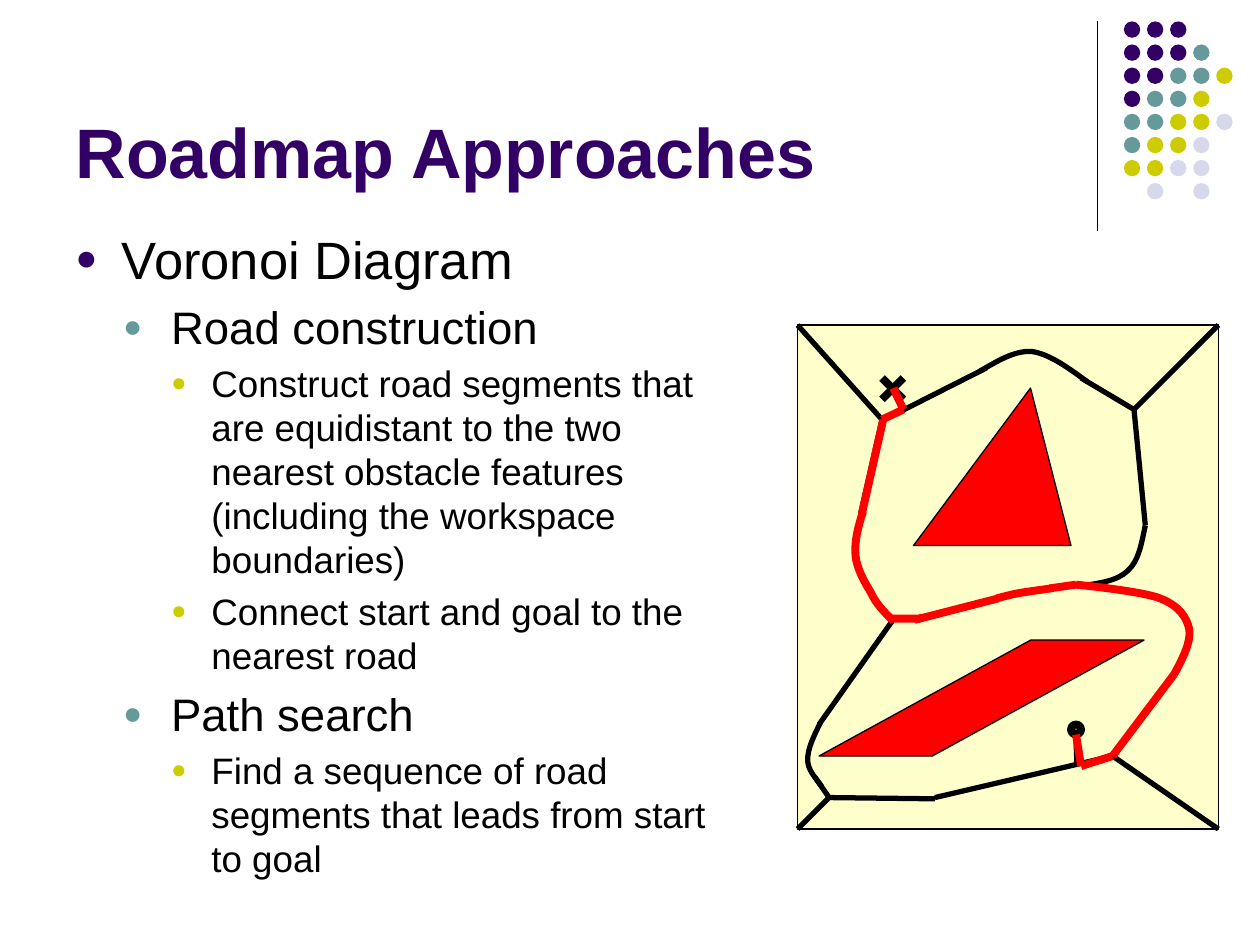
"""Build the Roadmap Approaches slide with its Voronoi diagram."""
from lxml.etree import SubElement
from pptx import Presentation
from pptx.dml.color import RGBColor
from pptx.enum.shapes import MSO_CONNECTOR, MSO_SHAPE
from pptx.enum.text import MSO_ANCHOR, PP_ALIGN
from pptx.oxml.ns import qn
from pptx.util import Pt

PX = 9144
FONT = "Arial"
HUES = {
    "black": "000000", "red": "FF0000", "cream": "FFFFCC", "plum": "330066",
    "teal": "669999", "lime": "CCCC00", "mist": "D8D8EC",
}

TITLE = "Roadmap Approaches"
BODY = [
    (0, "Voronoi Diagram"),
    (1, "Road construction"),
    (2, "Construct road segments that are equidistant to the two nearest "
        "obstacle features (including the workspace boundaries)"),
    (2, "Connect start and goal to the nearest road"),
    (1, "Path search"),
    (2, "Find a sequence of road segments that leads from start to goal"),
]
LEVELS = [
    {"size": 30, "gap": 2, "left": 37, "hang": 37, "hue": "plum"},
    {"size": 26, "gap": 5.2, "left": 76, "hang": 38, "hue": "teal"},
    {"size": 21, "gap": 4.2, "left": 108, "hang": 32, "hue": "lime"},
]

DOTS = ["ppp", "pppt", "ppttl", "pttl", "ttllm", "tllm", "llmm", " m m"]
DOT_HUES = {"p": "plum", "t": "teal", "l": "lime", "m": "mist"}
DOT_LEFT, DOT_TOP, DOT_SIZE, DOT_STEP = 892, 17, 13, 18.33

FIELD = [
    (MSO_SHAPE.RECTANGLE, (633, 258, 334, 400), "cream", 0.75, None),
    (MSO_SHAPE.ISOSCELES_TRIANGLE, (725, 308, 125, 125), "red", 0.75, 0.743),
    (MSO_SHAPE.PARALLELOGRAM, (650, 508, 258, 92), "red", 0.75, 1.826),
]
GOAL = (MSO_SHAPE.OVAL, (850, 575, 8, 8), "cream", 4.5, None)
START = [[(700, 300), (717, 317)], [(717, 300), (700, 317)]]
ROADS = [
    [(742, 634), (658, 633)], [(658, 633), (633, 658)],
    [(658, 633), (647, 617)], [(742, 633), (883, 600)],
    [(883, 600), (967, 658)], [(933, 533), (883, 600)],
    [(967, 258), (900, 325)], [(900, 325), (909, 417)],
    [(900, 325), (858, 300)], [(633, 258), (700, 333)],
    [(700, 333), (683, 408)], [(700, 334), (783, 292)],
    [(708, 493), (650, 575)], [(792, 475), (725, 492)],
    [(854, 464), (833, 467)],
]
ARCS = [
    [(652, 624), (647, 617), (641, 611), (641, 603),
     (641, 594), (646, 584), (651, 574)],
    [(777, 295), (791, 287), (805, 278), (819, 279),
     (833, 281), (848, 292), (863, 303)],
    [(858, 465), (872, 463), (887, 461), (895, 453),
     (904, 445), (906, 431), (909, 417)],
]
SHARED = [
    [(932, 535), (939, 522), (945, 510), (944, 500), (942, 490),
     (936, 481), (921, 475), (906, 469), (854, 464), (854, 464)],
    [(791, 475), (798, 473), (806, 471), (813, 470),
     (820, 469), (827, 468), (834, 467)],
    [(685, 406), (681, 418), (678, 430), (679, 441), (680, 451),
     (686, 462), (691, 470), (695, 479), (702, 486), (709, 493)],
    [(707, 491), (715, 491), (724, 491), (728, 491),
     (732, 491), (730, 490), (729, 490)],
]
LINKS = [[(854, 579), (855, 605)], [(708, 308), (717, 325)]]
ROUTE = [
    [(709, 308), (717, 325)], [(858, 608), (854, 583)],
    [(858, 608), (883, 600)], [(883, 600), (932, 535)],
    [(854, 464), (833, 467)], [(792, 475), (726, 492)],
    [(701, 333), (684, 408)], [(717, 325), (700, 333)],
]


def px(*nums):
    return [round(n * PX) for n in nums]


def rgb(hue):
    return RGBColor.from_string(HUES[hue])


def ink(shape, hue, width):
    shape.line.color.rgb = rgb(hue)
    shape.line.width = Pt(width)


def solid(slide, kind, box, fill, width=None, adj=None):
    shape = slide.shapes.add_shape(kind, *px(*box))
    shape.shadow.inherit = False
    shape.fill.solid()
    shape.fill.fore_color.rgb = rgb(fill)
    if adj is not None:
        shape.adjustments[0] = adj
    if width:
        ink(shape, "black", width)
    else:
        shape.line.fill.background()


def bend(shape):
    track = next(shape._element.iter(qn("a:path")))
    legs = track.findall(qn("a:lnTo"))
    for i in range(0, len(legs), 3):
        curve = SubElement(track, qn("a:cubicBezTo"))
        for leg in legs[i:i + 3]:
            curve.append(leg[0])
            track.remove(leg)


def stroke(slide, knots, hue, width):
    if len(knots) == 2:
        shape = slide.shapes.add_connector(
            MSO_CONNECTOR.STRAIGHT, *px(*knots[0], *knots[1]))
        SubElement(shape._element.spPr, qn("a:effectLst"))
    else:
        first, *rest = knots
        pen = slide.shapes.build_freeform(*first, scale=PX)
        pen.add_line_segments(rest, close=False)
        shape = pen.convert_to_shape()
        bend(shape)
        shape.shadow.inherit = False
        shape.fill.background()
    ink(shape, hue, width)


def style(para, size, hue, bold=False):
    para.alignment = PP_ALIGN.LEFT
    for run in para.runs:
        run.font.name, run.font.size, run.font.bold = FONT, Pt(size), bold
        run.font.color.rgb = rgb(hue)


def bullet(para, look):
    props = para._p.get_or_add_pPr()
    left, hang = px(look["left"], look["hang"])
    props.set("marL", str(left))
    props.set("indent", str(-hang))
    tint = SubElement(props, qn("a:buClr"))
    SubElement(tint, qn("a:srgbClr"), val=HUES[look["hue"]])
    SubElement(props, qn("a:buSzPct"), val="70000")
    SubElement(props, qn("a:buFont"), typeface=FONT)
    SubElement(props, qn("a:buChar"), char="●")


def write(slide):
    title = slide.shapes.title
    title.left, title.top, title.width, title.height = px(50, 16, 825, 142)
    title.text_frame.text = TITLE
    title.text_frame.vertical_anchor = MSO_ANCHOR.BOTTOM
    style(title.text_frame.paragraphs[0], 40, "plum", True)
    frame = slide.shapes.add_textbox(*px(50, 175, 533, 495)).text_frame
    frame.word_wrap = True
    frame.text = "\n".join(text for _, text in BODY)
    for para, (level, _) in zip(frame.paragraphs, BODY):
        look = LEVELS[level]
        para.level = level
        para.space_before = Pt(look["gap"])
        style(para, look["size"], "black")
        bullet(para, look)


def main():
    deck = Presentation()
    deck.slide_width, deck.slide_height = px(1000, 750)
    slide = deck.slides.add_slide(deck.slide_layouts[5])
    stroke(slide, [(871, 17), (871, 183)], "black", 0.75)
    for row, line in enumerate(DOTS):
        for col, key in enumerate(line):
            if key in DOT_HUES:
                box = (DOT_LEFT + col * DOT_STEP, DOT_TOP + row * DOT_STEP,
                       DOT_SIZE, DOT_SIZE)
                solid(slide, MSO_SHAPE.OVAL, box, DOT_HUES[key])
    write(slide)
    for part in FIELD:
        solid(slide, *part)
    for knots in START:
        stroke(slide, knots, "black", 4.5)
    solid(slide, *GOAL)
    for group, hue, width in [(ROADS + ARCS + SHARED, "black", 3),
                              (LINKS, "black", 3.5),
                              (ROUTE + SHARED, "red", 4.5)]:
        for knots in group:
            stroke(slide, knots, hue, width)
    deck.save("out.pptx")


if __name__ == "__main__":
    main()
